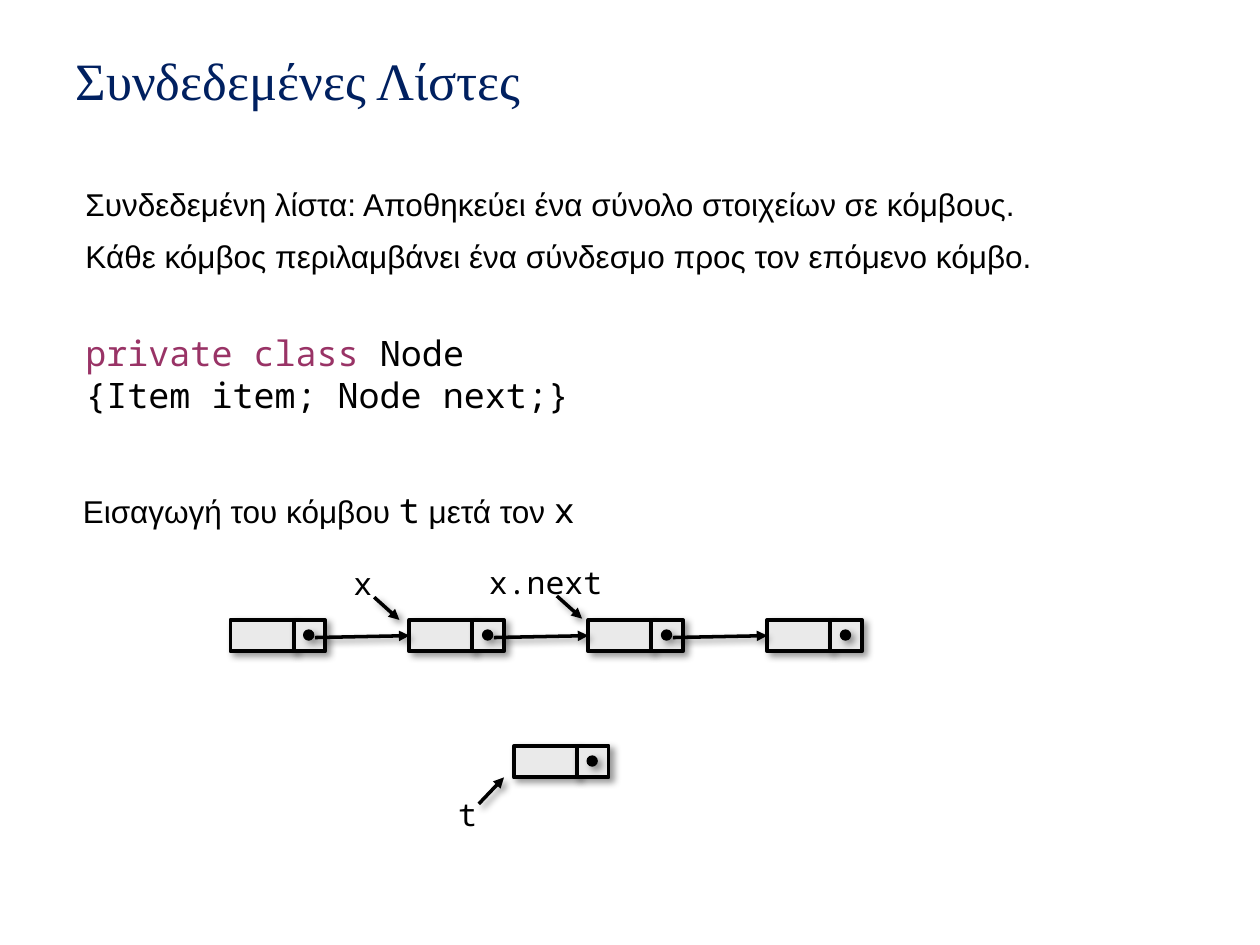
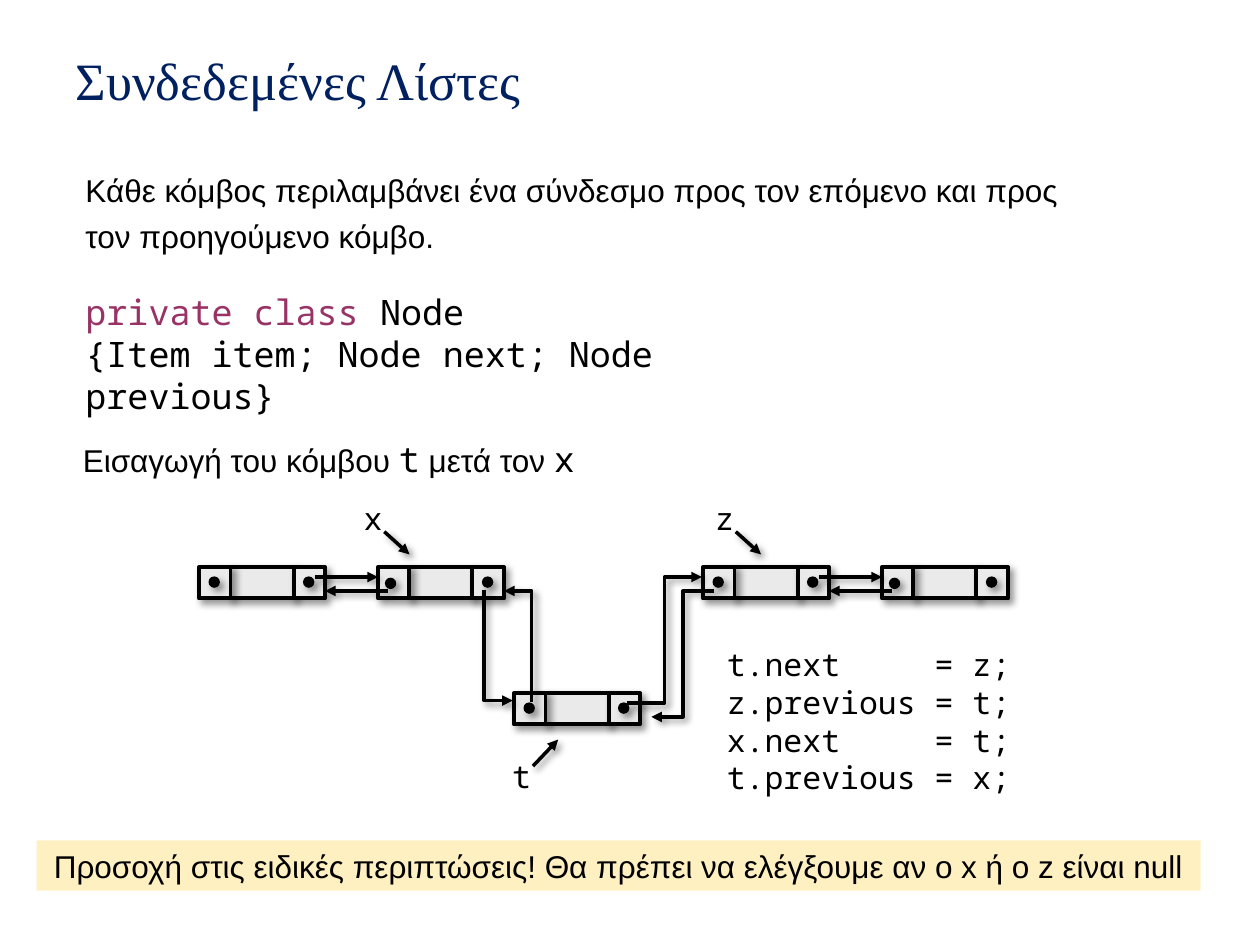
from lxml import etree
from pptx import Presentation
from pptx.dml.color import RGBColor
from pptx.enum.shapes import MSO_CONNECTOR, MSO_SHAPE
from pptx.enum.text import MSO_ANCHOR, MSO_AUTO_SIZE, PP_ALIGN
from pptx.oxml.ns import qn
from pptx.util import Inches, Pt

RECTANGLE, OVAL = MSO_SHAPE.RECTANGLE, MSO_SHAPE.OVAL
STRAIGHT, ELBOW = MSO_CONNECTOR.STRAIGHT, MSO_CONNECTOR.ELBOW
LEFT, CENTER = PP_ALIGN.LEFT, PP_ALIGN.CENTER
TOP = MSO_ANCHOR.TOP
NO_AUTO_SIZE = MSO_AUTO_SIZE.NONE

BLACK, NAVY, PLUM = "000000", "002060", "993366"
CELL_GREY, CREAM = "EAEAEA", "FFF0C2"
SANS, MONO, SERIF = "Arial", "Noto Sans Mono", "Times New Roman"
TITLE_ONLY_LAYOUT = 5
ITEM_WIDTH, LINK_WIDTH, CELL_HEIGHT = 0.5, 0.25, 0.25
DOT_SIZE, DOT_OFFSET, NEAR_DOT_OFFSET = 0.08, (0.08, 0.08), (0.06, 0.09)
NODE_STEP = 1.42


def color(hex_string):
    """Turn a hex string into a colour."""
    return RGBColor.from_string(hex_string)


def add_run(paragraph, text, size=18, font=SANS, hex_string=BLACK):
    """Append one formatted run."""
    run = paragraph.add_run()
    run.text = text
    run.font.size = Pt(size)
    run.font.name = font
    run.font.color.rgb = color(hex_string)


def write(text_frame, paragraphs, align=LEFT, wrap=True):
    """Fill a frame with paragraphs, each a list of run arguments."""
    text_frame.word_wrap = wrap
    text_frame.vertical_anchor = TOP
    for index, runs in enumerate(paragraphs):
        paragraph = text_frame.paragraphs[0] if index == 0 else text_frame.add_paragraph()
        paragraph.alignment = align
        for run in runs:
            add_run(paragraph, *run)


def add_text(slide, box, paragraphs, align=LEFT, wrap=True):
    """Add a text box and return its frame."""
    text_frame = slide.shapes.add_textbox(*map(Inches, box)).text_frame
    write(text_frame, paragraphs, align, wrap)
    return text_frame


def add_shadow(properties):
    """Give shape properties a soft shadow to the lower right."""
    effects = properties.find(qn("a:effectLst"))
    if effects is None:
        effects = etree.SubElement(properties, qn("a:effectLst"))
    shadow = etree.SubElement(effects, qn("a:outerShdw"), blurRad=str(Pt(4)),
                              dist=str(Pt(3)), dir="2700000", rotWithShape="0")
    shade = etree.SubElement(shadow, qn("a:srgbClr"), val=BLACK)
    etree.SubElement(shade, qn("a:alpha"), val="40000")


def add_block(slide, kind, box, fill, line_width):
    """Add a filled, outlined and shadowed shape."""
    shape = slide.shapes.add_shape(kind, *map(Inches, box))
    shape.fill.solid()
    shape.fill.fore_color.rgb = color(fill)
    shape.line.color.rgb = color(BLACK)
    shape.line.width = Pt(line_width)
    shape.shadow.inherit = False
    add_shadow(shape.element.spPr)
    return shape


def add_arrow(slide, start, end, kind=STRAIGHT):
    """Add a black arrow from start to end."""
    connector = slide.shapes.add_connector(kind, *map(Inches, (*start, *end)))
    connector.line.color.rgb = color(BLACK)
    connector.line.width = Pt(2)
    properties = connector.element.spPr
    etree.SubElement(properties.find(qn("a:ln")), qn("a:tailEnd"), type="triangle")
    add_shadow(properties)
    return connector


def add_corner_arrow(slide, start, end):
    """Add an arrow that leaves vertically and arrives horizontally."""
    middle_x, middle_y = (start[0] + end[0]) / 2, (start[1] + end[1]) / 2
    reach_x, reach_y = (start[1] - end[1]) / 2, (end[0] - start[0]) / 2
    connector = add_arrow(slide, (middle_x - reach_x, middle_y - reach_y),
                          (middle_x + reach_x, middle_y + reach_y), ELBOW)
    properties = connector.element.spPr
    properties.find(qn("a:xfrm")).set("rot", "16200000")
    properties.find(qn("a:prstGeom")).set("prst", "bentConnector2")


def add_link_cell(slide, left, top, dot_offset=DOT_OFFSET):
    """Draw a link cell with its dot."""
    add_block(slide, RECTANGLE, (left, top, LINK_WIDTH, CELL_HEIGHT), CELL_GREY, 2.25)
    add_block(slide, OVAL, (left + dot_offset[0], top + dot_offset[1], DOT_SIZE, DOT_SIZE),
              BLACK, 0.75)


def add_node(slide, left, top):
    """Draw an item cell and its next link; return the item cell."""
    item = add_block(slide, RECTANGLE, (left, top, ITEM_WIDTH, CELL_HEIGHT), CELL_GREY, 2.25)
    add_link_cell(slide, left + ITEM_WIDTH, top)
    return item


def add_double_node(slide, left, top, dot_offset=DOT_OFFSET):
    """Draw a node with previous and next links."""
    add_node(slide, left, top)
    add_link_cell(slide, left - LINK_WIDTH, top, dot_offset)


def add_double_pair(slide, left, top):
    """Draw two nodes that point to each other."""
    add_double_node(slide, left, top)
    add_double_node(slide, left + NODE_STEP, top, NEAR_DOT_OFFSET)
    add_arrow(slide, (left + 0.67, top + 0.08), (left + 1.17, top + 0.08))
    add_arrow(slide, (left + 1.25, top + 0.19), (left + 0.75, top + 0.19))


def add_single_chain(slide, left, top, count):
    """Draw a row of nodes, each pointing to the following one."""
    for index in range(count):
        node_left = left + index * NODE_STEP
        item = add_node(slide, node_left, top)
        if index:
            start = (node_left - NODE_STEP + 0.67, top + 0.14)
            add_arrow(slide, start, (node_left, top + 0.14)).end_connect(item, 1)


def add_pointer(slide, name, center, top, width=0.75, upward=False):
    """Write a variable name with an arrow to its node."""
    add_text(slide, (center - width / 2, top, width, 0.4), [[(name, 18, MONO)]], CENTER)
    start_y, end_y = (0.12, -0.09) if upward else (0.31, 0.49)
    add_arrow(slide, (center + 0.09, top + start_y), (center + 0.29, top + end_y))


def add_title(slide):
    """Place and format the slide title."""
    title = slide.shapes.title
    title.left, title.top, title.width, title.height = map(Inches, (0.5, 0.3, 9, 0.53))
    text_frame = title.text_frame
    text_frame.auto_size = NO_AUTO_SIZE
    text_frame.margin_top = Inches(0.08)
    write(text_frame, [[("Συνδεδεμένες Λίστες", 30, SERIF, NAVY)]])


def add_class_code(slide, box, fields):
    """Write the Node class declaration."""
    add_text(slide, box, [
        [("private class", 20, MONO, PLUM), (" Node", 20, MONO)],
        [(fields, 20, MONO)],
    ])


def add_insert_heading(slide, top):
    """Write the heading of the insertion diagram."""
    add_text(slide, (0.55, top, 4.12, 0.44), [[
        ("Εισαγωγή του κόμβου ",), ("t", 20, MONO),
        (" μετά τον ",), ("x", 20, MONO),
    ]], CENTER, False)


def add_assignments(slide, box, assignments):
    """Write assignments with their equal signs on a tab stop."""
    paragraphs = [[(f"{target}\t= {value};", 18, MONO)] for target, value in assignments]
    text_frame = add_text(slide, box, paragraphs)
    for paragraph in text_frame.paragraphs:
        tabs = etree.SubElement(paragraph._p.get_or_add_pPr(), qn("a:tabLst"))
        etree.SubElement(tabs, qn("a:tab"), pos=str(Inches(1.65)), algn="l")


def add_warning(slide, box, text):
    """Add the highlighted warning band."""
    band = slide.shapes.add_shape(RECTANGLE, *map(Inches, box))
    band.shadow.inherit = False
    band.fill.solid()
    band.fill.fore_color.rgb = color(CREAM)
    band.line.fill.background()
    write(band.text_frame, [[(text,)]], CENTER, False)


def add_slide(presentation):
    """Add a titled slide."""
    slide = presentation.slides.add_slide(presentation.slide_layouts[TITLE_ONLY_LAYOUT])
    add_title(slide)
    return slide


def build_single_list(presentation):
    """Build the slide on singly linked lists."""
    slide = add_slide(presentation)
    add_text(slide, (0.58, 1.42, 8.83, 0.5),
             [[("Συνδεδεμένη λίστα: Αποθηκεύει ένα σύνολο στοιχείων σε κόμβους.",)]])
    add_text(slide, (0.58, 1.83, 8.08, 0.4),
             [[("Κάθε κόμβος περιλαμβάνει ένα σύνδεσμο προς τον επόμενο κόμβο.",)]])
    add_class_code(slide, (0.58, 2.58, 4.06, 0.77), "{Item item; Node next;}")
    add_insert_heading(slide, 3.83)
    add_single_chain(slide, 1.83, 4.92, 4)
    add_node(slide, 4.08, 5.92)
    add_pointer(slide, "x", 2.88, 4.43)
    add_pointer(slide, "x.next", 4.33, 4.42, 1.5)
    add_pointer(slide, "t", 3.71, 6.26, upward=True)


def build_double_list(presentation):
    """Build the slide on doubly linked lists."""
    slide = add_slide(presentation)
    text_frame = add_text(slide, (0.58, 1.25, 8.08, 0.8), [[(
        "Κάθε κόμβος περιλαμβάνει ένα σύνδεσμο προς τον επόμενο και προς "
        "τον προηγούμενο κόμβο.",)]])
    text_frame.paragraphs[0].line_spacing = Pt(26)
    add_class_code(slide, (0.58, 2.26, 6.22, 0.77), "{Item item; Node next; Node previous}")
    add_insert_heading(slide, 3.42)
    for left in (1.83, 5.83):
        add_double_pair(slide, left, 4.5)
    add_double_node(slide, 4.33, 5.5)
    add_corner_arrow(slide, (3.84, 4.68), (4.07, 5.56))
    add_corner_arrow(slide, (4.22, 5.57), (4, 4.69))
    add_arrow(slide, (4.98, 5.58), (5.57, 4.58), ELBOW)
    add_arrow(slide, (5.67, 4.69), (5.17, 5.69), ELBOW)
    add_pointer(slide, "x", 2.96, 3.91)
    add_pointer(slide, "z", 5.75, 3.91)
    add_pointer(slide, "t", 4.14, 5.96, upward=True)
    add_assignments(slide, (5.67, 5.07, 2.67, 1.31), [
        ("t.next", "z"), ("z.previous", "t"), ("x.next", "t"), ("t.previous", "x")])
    add_warning(slide, (0.29, 6.67, 9.24, 0.4),
                "Προσοχή στις ειδικές περιπτώσεις! Θα πρέπει να ελέγξουμε "
                "αν ο x ή ο z είναι null")


def main():
    """Build and save the presentation."""
    presentation = Presentation()
    presentation.slide_width, presentation.slide_height = Inches(10), Inches(7.5)
    build_single_list(presentation)
    build_double_list(presentation)
    presentation.save("out.pptx")


if __name__ == "__main__":
    main()
